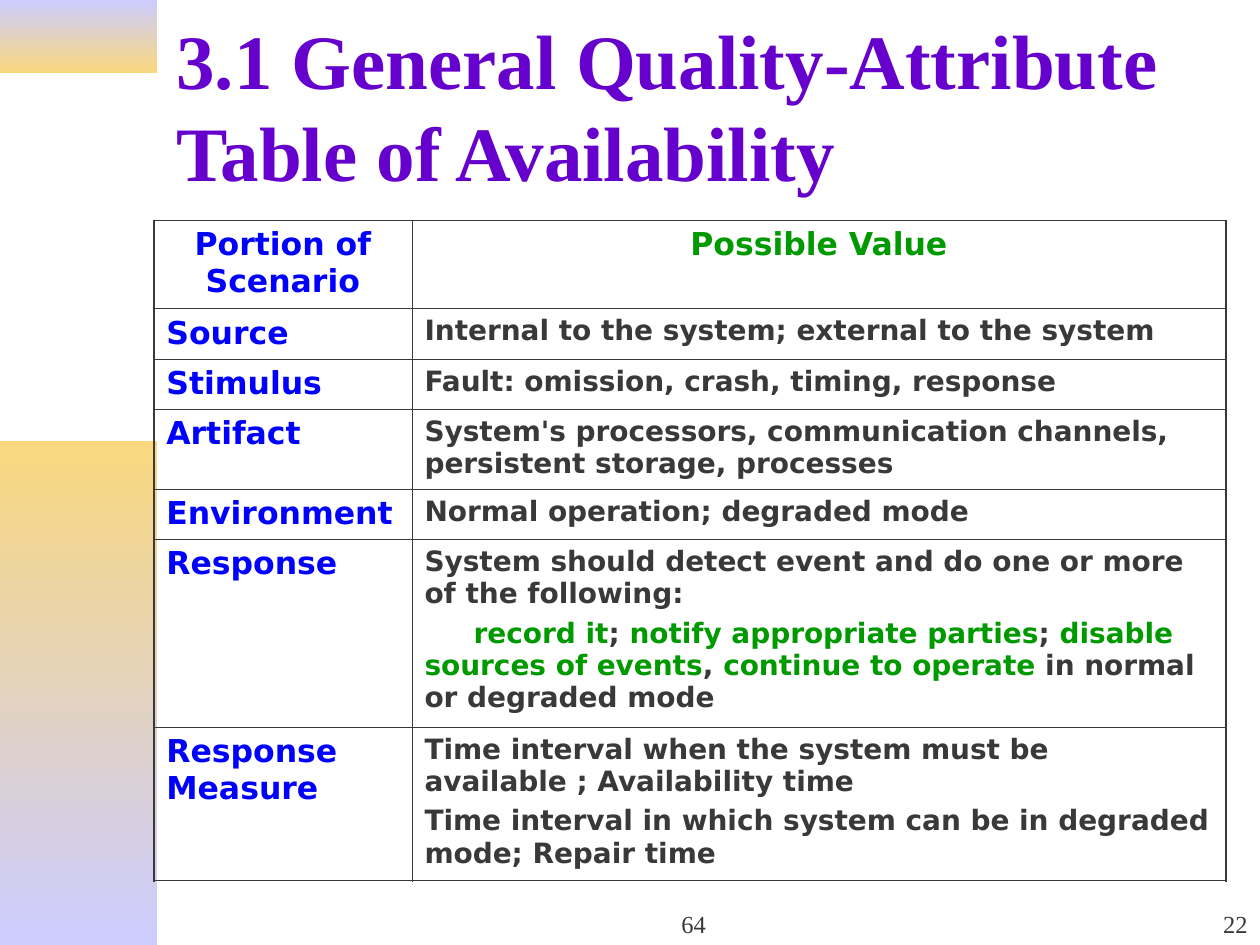
"""Build the availability quality-attribute table slide."""
from dataclasses import dataclass

from lxml import etree
from pptx import Presentation
from pptx.dml.color import RGBColor
from pptx.enum.shapes import MSO_SHAPE
from pptx.enum.text import MSO_ANCHOR, MSO_AUTO_SIZE, PP_ALIGN
from pptx.oxml.ns import qn
from pptx.util import Inches, Pt

RECT = MSO_SHAPE.RECTANGLE
MIDDLE, BOTTOM = MSO_ANCHOR.MIDDLE, MSO_ANCHOR.BOTTOM
NO_FIT = MSO_AUTO_SIZE.NONE
LEFT, CENTER, RIGHT = PP_ALIGN.LEFT, PP_ALIGN.CENTER, PP_ALIGN.RIGHT


@dataclass(frozen=True)
class Theme:
    serif: str = "Times New Roman"
    sans: str = "DejaVu Sans"
    purple: str = "6600CC"
    blue: str = "0000FF"
    green: str = "009900"
    ink: str = "393939"
    lilac: str = "CCCCFF"
    gold: str = "F9D87E"
    title: int = 44
    label: int = 18
    value: int = 16
    footer: int = 14
    outer: float = 1.08
    inner: float = 0.45


T = Theme()
TITLE = "3.1 General Quality-Attribute Table of Availability"
HEADERS = [("Portion of Scenario", T.blue), ("Possible Value", T.green)]
ACTIONS = [
    ("record it", T.green), ("; ", T.ink),
    ("notify appropriate parties", T.green), ("; ", T.ink),
    ("disable sources of events", T.green), (", ", T.ink),
    ("continue to operate", T.green), (" in normal or degraded mode", T.ink),
]
ROWS = [
    ("Source", ["Internal to the system; external to the system"]),
    ("Stimulus", ["Fault: omission, crash, timing, response"]),
    ("Artifact", ["System's processors, communication channels, persistent storage, processes"]),
    ("Environment", ["Normal operation; degraded mode"]),
    ("Response", ["System should detect event and do one or more of the following:", ACTIONS]),
    ("Response Measure", ["Time interval when the system must be available ; Availability time",
                          "Time interval in which system can be in degraded mode; Repair time"]),
]
COL_WIDTHS = [2.05, 6.46]
ROW_HEIGHTS = [0.7, 0.4, 0.4, 0.63, 0.4, 1.49, 1.22]
BANDS = [(0, 0.58, T.lilac, T.gold), (3.5, 4, T.gold, T.lilac)]
FOOTERS = [("64", 3.92, 3.17, CENTER), ("22", 7.92, 2.08, RIGHT)]


def write(p, runs, size, font, bold=True, align=LEFT, before=0):
    p.alignment = align
    p.space_before = Pt(before)
    for text, color in runs:
        r = p.add_run()
        r.text = text
        r.font.size, r.font.name, r.font.bold = Pt(size), font, bold
        r.font.color.rgb = RGBColor.from_string(color)


def add_band(s, top, height, start, end):
    sp = s.shapes.add_shape(RECT, 0, Inches(top), Inches(1.25), Inches(height))
    sp.shadow.inherit = False
    sp.line.fill.background()
    sp.fill.gradient()
    sp.fill.gradient_angle = 270
    for stop, color, position in zip(sp.fill.gradient_stops, (start, end), (0, 1)):
        stop.color.rgb = RGBColor.from_string(color)
        stop.position = position


def set_borders(cell, widths):
    tc_pr = cell._tc.get_or_add_tcPr()
    for side, width in zip("LRTB", widths):
        ln = etree.SubElement(tc_pr, qn(f"a:ln{side}"), w=str(Pt(width)))
        fill = etree.SubElement(ln, qn("a:solidFill"))
        etree.SubElement(fill, qn("a:srgbClr"), val=T.ink)


def fill_cell(cell, paragraphs, size, align=LEFT):
    tf = cell.text_frame
    for i, runs in enumerate(paragraphs):
        p = tf.add_paragraph() if i else tf.paragraphs[0]
        write(p, runs, size, T.sans, align=align, before=size / 4)
        if runs is ACTIONS:
            p._p.get_or_add_pPr().set("indent", str(Inches(0.39)))


def add_scenario_table(s):
    n_rows, n_cols = len(ROW_HEIGHTS), len(COL_WIDTHS)
    frame = s.shapes.add_table(n_rows, n_cols, Inches(1.22), Inches(1.75),
                               Inches(sum(COL_WIDTHS)), Inches(sum(ROW_HEIGHTS)))
    table = frame.table
    table.first_row = table.horz_banding = False
    for col, width in zip(table.columns, COL_WIDTHS):
        col.width = Inches(width)
    for row, height in zip(table.rows, ROW_HEIGHTS):
        row.height = Inches(height)
    for i in range(n_rows):
        for j in range(n_cols):
            edges = (j == 0, j == n_cols - 1, i == 0, i == n_rows - 1)
            cell = table.cell(i, j)
            set_borders(cell, [T.outer if edge else T.inner for edge in edges])
            cell.fill.background()
    for j, header in enumerate(HEADERS):
        fill_cell(table.cell(0, j), [[header]], T.label, CENTER)
    for i, (label, values) in enumerate(ROWS, 1):
        fill_cell(table.cell(i, 0), [[(label, T.blue)]], T.label)
        paragraphs = [[(v, T.ink)] if isinstance(v, str) else v for v in values]
        fill_cell(table.cell(i, 1), paragraphs, T.value)


def add_title(s):
    sp = s.shapes.title
    sp.left, sp.top, sp.width, sp.height = map(Inches, (1.3, 0.11, 8.2, 1.44))
    tf = sp.text_frame
    tf.vertical_anchor, tf.auto_size, tf.word_wrap = MIDDLE, NO_FIT, True
    write(tf.paragraphs[0], [(TITLE, T.purple)], T.title, T.serif)


def add_footer(s, text, left, width, align):
    tf = s.shapes.add_textbox(Inches(left), Inches(7), Inches(width), Inches(0.5)).text_frame
    tf.vertical_anchor, tf.word_wrap = BOTTOM, True
    write(tf.paragraphs[0], [(text, T.ink)], T.footer, T.serif, bold=False, align=align)


def main():
    prs = Presentation()
    prs.slide_width, prs.slide_height = Inches(10), Inches(7.5)
    s = prs.slides.add_slide(prs.slide_layouts[5])
    for band in BANDS:
        add_band(s, *band)
    add_title(s)
    add_scenario_table(s)
    for footer in FOOTERS:
        add_footer(s, *footer)
    prs.save("out.pptx")


if __name__ == "__main__":
    main()
